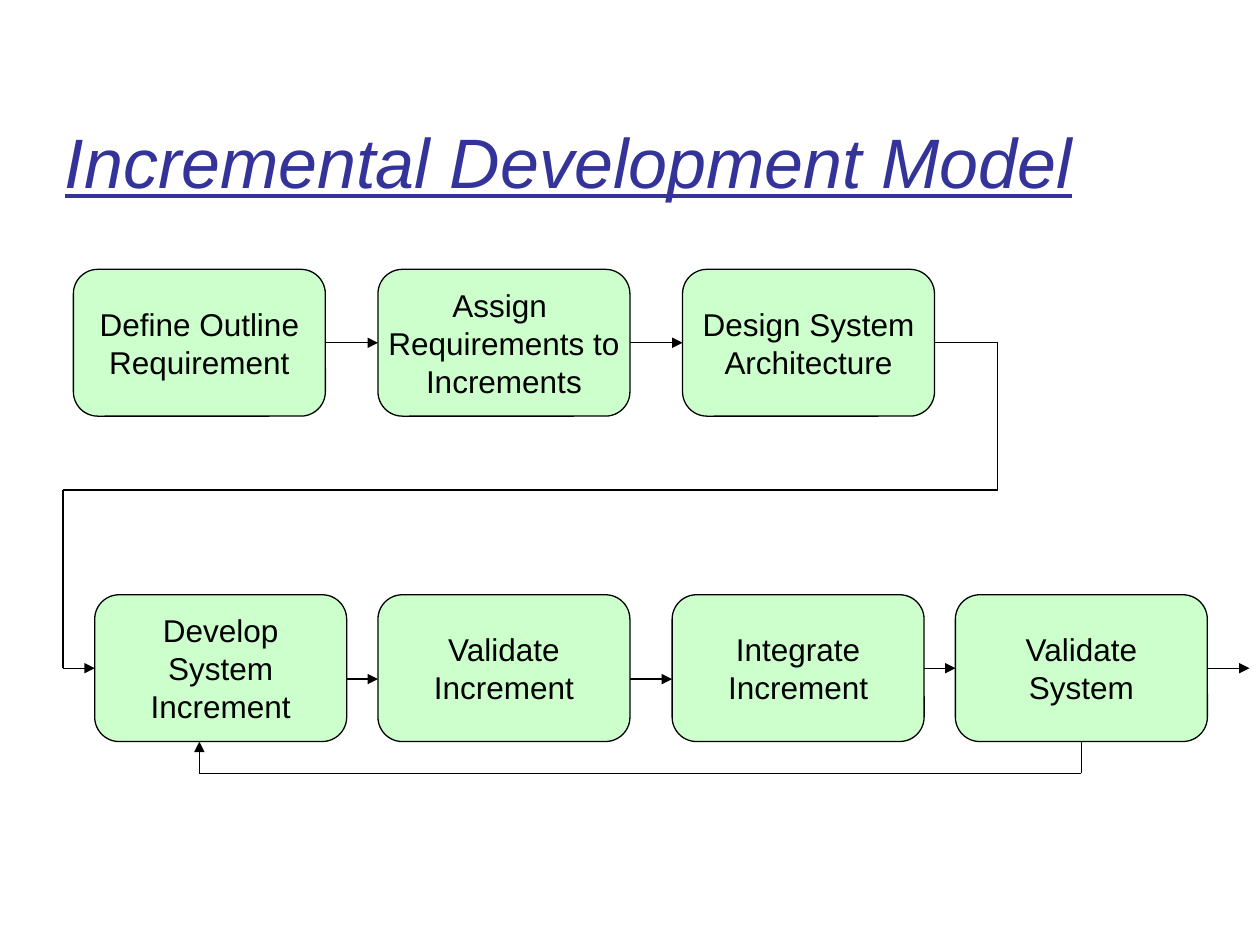
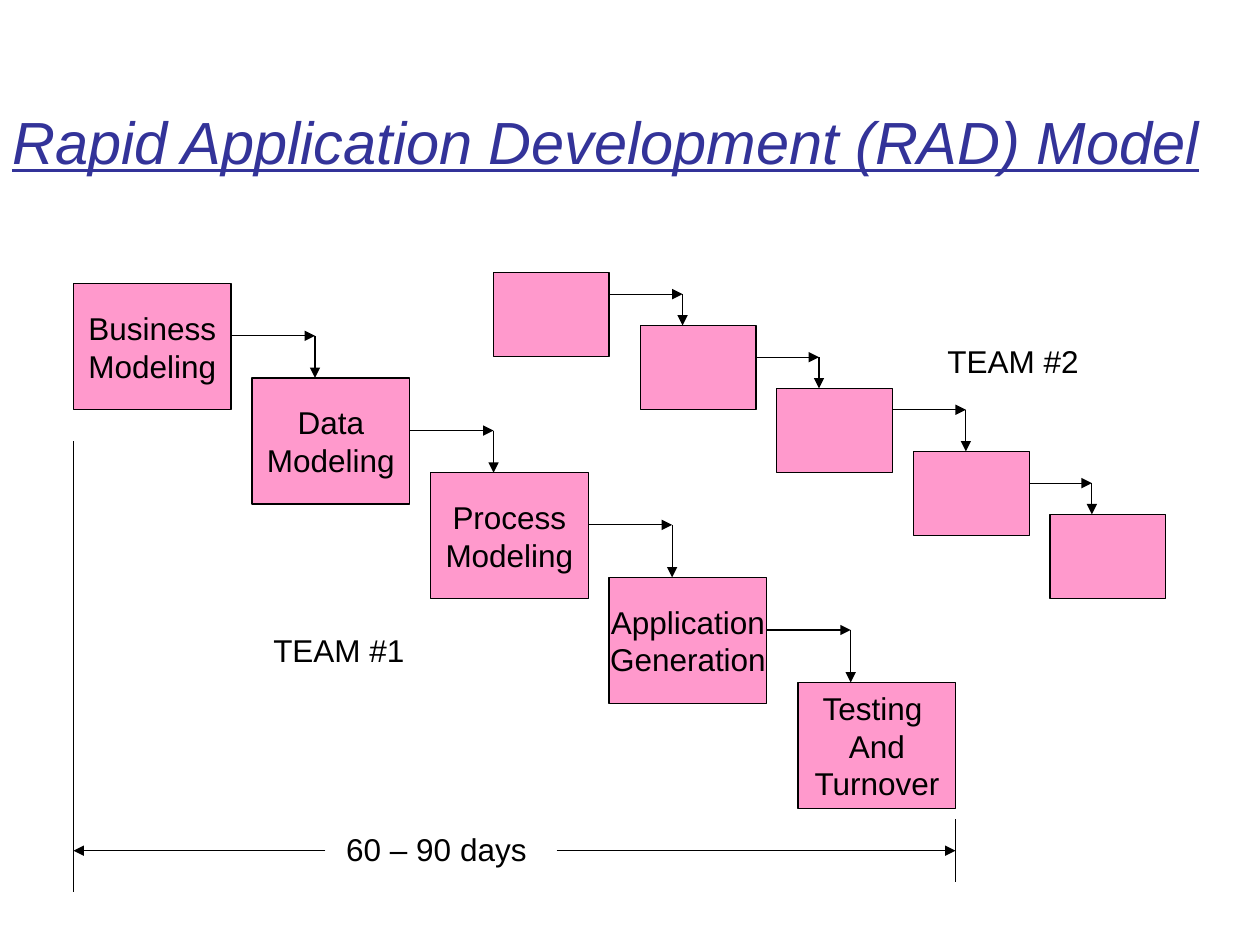
from dataclasses import dataclass
from itertools import pairwise
from typing import NamedTuple

from lxml.etree import SubElement
from pptx import Presentation
from pptx.dml.color import RGBColor
from pptx.enum.shapes import MSO_CONNECTOR as Wire, MSO_SHAPE as Form
from pptx.enum.text import MSO_ANCHOR as Anchor, PP_ALIGN as Align
from pptx.oxml.ns import qn
from pptx.shapes.autoshape import Shape
from pptx.slide import Slide
from pptx.text.text import TextFrame
from pptx.util import Cm, Pt

FONT = "Arial"
BLACK, NAVY, GREEN, PINK = "000000", "333399", "CCFFCC", "FF99CC"
TOP, LEFT, BOTTOM, RIGHT = range(4)


class Point(NamedTuple):
    x: float
    y: float


class Dock(NamedTuple):
    shape: Shape
    side: int


class Size(NamedTuple):
    w: float
    h: float


@dataclass
class Style:
    form: Form
    fill: str
    size: Size


@dataclass
class Label:
    text: str
    at: Point
    size: Size


@dataclass
class Title:
    text: str
    at: Point
    size: Size
    points: int
    spacing: float = 1.0


@dataclass
class Team:
    style: Style
    spots: list[Point]
    bends: list[Point]
    names: list[str]


PHASE = Style(Form.ROUNDED_RECTANGLE, GREEN, Size(5.08, 2.96))
STAGE = Style(Form.RECTANGLE, PINK, Size(3.18, 2.54))
BLOCK = Style(Form.RECTANGLE, PINK, Size(2.33, 1.69))

TEAMS = [
    Team(
        STAGE,
        [Point(1.48, 5.72), Point(5.08, 7.62), Point(8.68, 9.53),
         Point(12.28, 11.64), Point(16.09, 13.76)],
        [Point(6.35, 6.77), Point(9.95, 8.68), Point(13.55, 10.58),
         Point(17.15, 12.7)],
        ["Business\nModeling", "Data\nModeling", "Process\nModeling",
         "Application\nGeneration", "Testing \nAnd\nTurnover"],
    ),
    Team(
        BLOCK,
        [Point(9.95, 5.5), Point(12.91, 6.56), Point(15.66, 7.83),
         Point(18.42, 9.1), Point(21.17, 10.37)],
        [Point(13.76, 5.93), Point(16.51, 7.2), Point(19.47, 8.26),
         Point(22.01, 9.74)],
        [""] * 5,
    ),
]

LABELS = [
    Label("TEAM #1", Point(5.26, 12.6), Size(3.15, 1.02)),
    Label("TEAM #2", Point(18.85, 6.78), Size(3.15, 1.02)),
    Label("60 – 90 days", Point(6.73, 16.61), Size(4.14, 1.02)),
]


def paint(code: str) -> RGBColor:
    return RGBColor.from_string(code)


def write(frame: TextFrame, text: str, align: Align, points: int = 18,
          color: str = BLACK, fancy: bool = False) -> None:
    for i, part in enumerate(text.split("\n")):
        para = frame.add_paragraph() if i else frame.paragraphs[0]
        para.alignment = align
        run = para.add_run()
        run.text = part
        font = run.font
        font.name, font.size = FONT, Pt(points)
        font.color.rgb = paint(color)
        if fancy:
            font.italic = font.underline = True


def add_text(slide: Slide, at: Point, size: Size) -> TextFrame:
    return slide.shapes.add_textbox(*map(Cm, at + size)).text_frame


def add_title(slide: Slide, title: Title) -> None:
    frame = add_text(slide, title.at, title.size)
    frame.word_wrap = True
    frame.margin_top = Cm(0.27)
    write(frame, title.text, Align.LEFT, title.points, NAVY, True)
    frame.paragraphs[0].line_spacing = title.spacing


def add_label(slide: Slide, label: Label) -> None:
    frame = add_text(slide, label.at, label.size)
    frame.word_wrap = False
    write(frame, label.text, Align.LEFT)


def add_box(slide: Slide, style: Style, at: Point, text: str) -> Shape:
    box = slide.shapes.add_shape(style.form, *map(Cm, at + style.size))
    box.shadow.inherit = False
    box.fill.solid()
    box.fill.fore_color.rgb = paint(style.fill)
    box.line.color.rgb = paint(BLACK)
    box.line.width = Pt(0.75)
    if text:
        frame = box.text_frame
        frame.word_wrap = False
        frame.vertical_anchor = Anchor.MIDDLE
        write(frame, text, Align.CENTER)
    return box


def place(end: Point | Dock) -> tuple[int, int]:
    if isinstance(end, Point):
        return Cm(end.x), Cm(end.y)
    box, side = end
    x = {LEFT: 0, RIGHT: box.width}.get(side, box.width // 2)
    y = {TOP: 0, BOTTOM: box.height}.get(side, box.height // 2)
    return box.left + x, box.top + y


def add_line(slide: Slide, start: Point | Dock, end: Point | Dock,
             arrow: bool = False) -> None:
    line = slide.shapes.add_connector(
        Wire.STRAIGHT, *place(start), *place(end))
    if isinstance(start, Dock):
        line.begin_connect(*start)
    if isinstance(end, Dock):
        line.end_connect(*end)
    line.line.color.rgb = paint(BLACK)
    line.line.width = Pt(0.75)
    if arrow:
        SubElement(line.line._get_or_add_ln(), qn("a:tailEnd"),
                   type="triangle")
    SubElement(line._element.spPr, qn("a:effectLst"))


def add_route(slide: Slide, *stops: Point | Dock) -> None:
    for start, end in pairwise(stops):
        add_line(slide, start, end, end is stops[-1])


def add_row(slide: Slide, top: float, cells: dict[float, str]) -> list[Shape]:
    return [add_box(slide, PHASE, Point(x, top), text)
            for x, text in cells.items()]


def draw_model(slide: Slide) -> None:
    add_title(slide, Title("Incremental Development Model",
                           Point(1.06, 2.12), Size(22.86, 2.54), 40))
    plan = add_row(slide, 5.43, {
        1.48: "Define Outline\nRequirement",
        7.62: "Assign \nRequirements to\nIncrements",
        13.76: "Design System\nArchitecture",
    })
    build = add_row(slide, 11.99, {
        1.91: "Develop\nSystem\nIncrement",
        7.62: "Validate\nIncrement",
        13.55: "Integrate\nIncrement",
        19.26: "Validate\nSystem",
    })
    first, *_, last = build
    for a, b in [*pairwise(plan), (build[2], last)]:
        add_line(slide, Dock(a, RIGHT), Dock(b, LEFT), True)
    for x, end in [(6.99, 7.62), (12.7, 13.55)]:
        add_line(slide, Point(x, 13.69), Point(end, 13.69), True)
    add_line(slide, Dock(last, RIGHT), Point(25.19, 13.47), True)
    add_route(slide, Dock(plan[-1], RIGHT), Point(20.11, 6.91),
              Point(20.11, 9.88), Point(1.27, 9.88), Point(1.27, 13.47),
              Dock(first, LEFT))
    add_route(slide, Dock(last, BOTTOM), Point(21.8, 15.59),
              Point(4.02, 15.59), Point(4.02, 14.95))


def draw_team(slide: Slide, team: Team) -> None:
    for at, name in zip(team.spots, team.names):
        add_box(slide, team.style, at, name)
    for (at, after), bend in zip(pairwise(team.spots), team.bends):
        edge = Point(at.x + team.style.size.w, bend.y)
        add_line(slide, edge, bend, True)
        add_line(slide, bend, Point(bend.x, after.y), True)


def draw_rapid(slide: Slide) -> None:
    add_title(slide, Title("Rapid Application Development (RAD) Model",
                           Point(0, 2.12), Size(25.4, 2.12), 34, 0.8))
    for team in TEAMS:
        draw_team(slide, team)
    for label in LABELS:
        add_label(slide, label)
    left, right, base = 1.48, 19.26, 17.15
    add_line(slide, Point(left, 8.89), Point(left, base))
    add_line(slide, Point(left, base), Point(left, 17.99))
    add_line(slide, Point(right, 16.51), Point(right, 17.78))
    add_line(slide, Point(11.22, base), Point(right, base), True)
    add_line(slide, Point(6.56, base), Point(left, base), True)


def main() -> None:
    deck = Presentation()
    deck.slide_width, deck.slide_height = Cm(25.4), Cm(19.05)
    for draw in (draw_model, draw_rapid):
        draw(deck.slides.add_slide(deck.slide_layouts[6]))
    deck.save("out.pptx")


if __name__ == "__main__":
    main()
